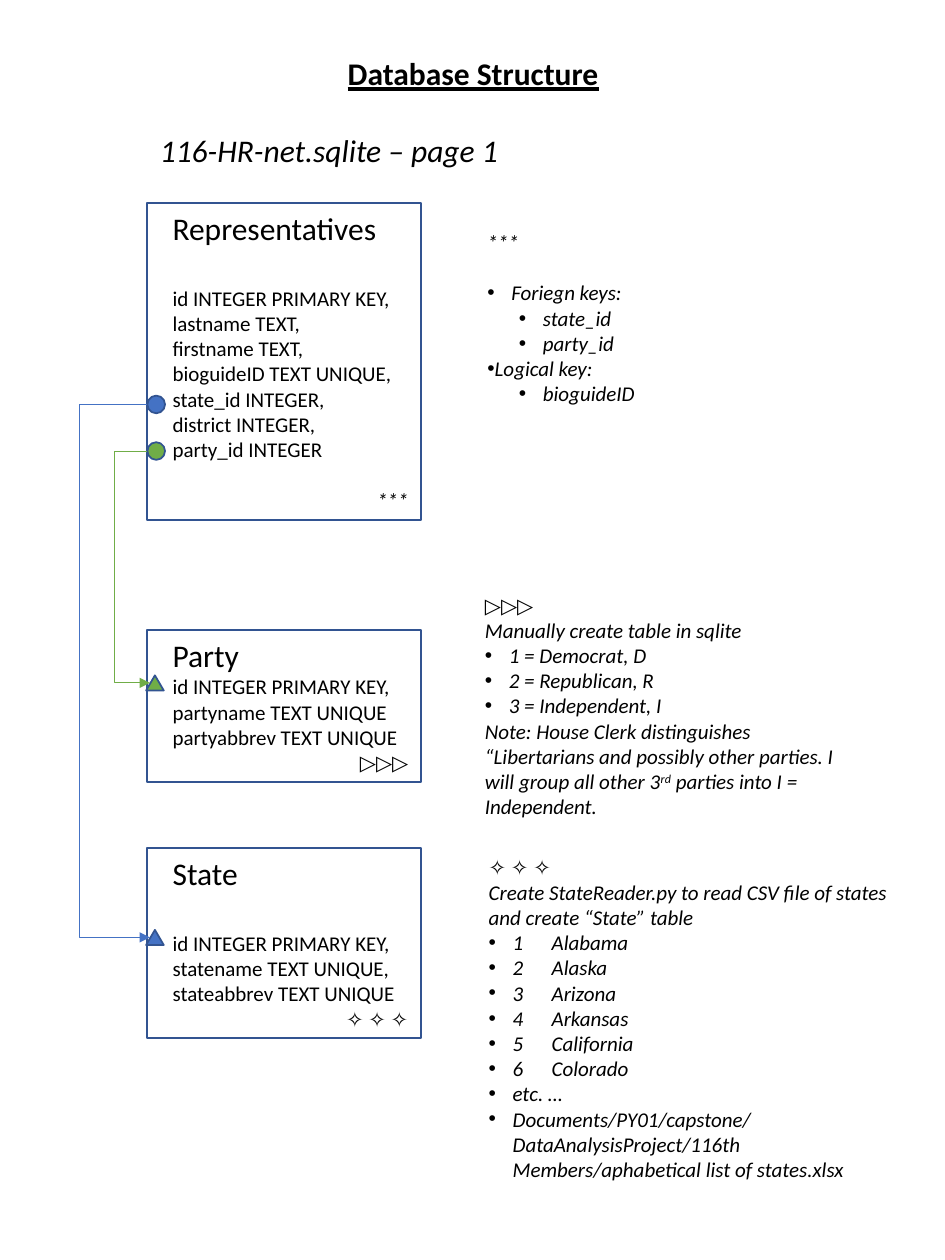
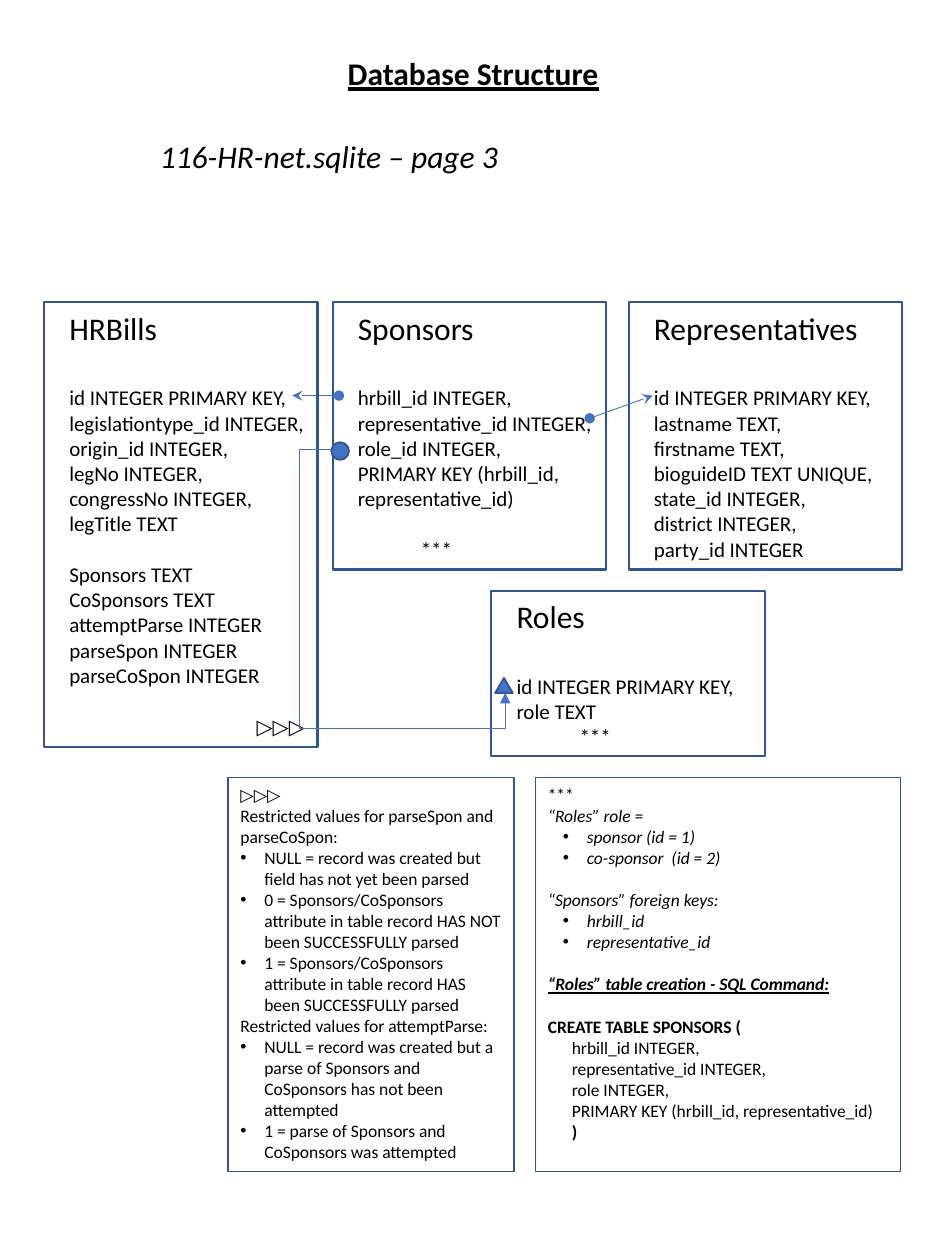
from dataclasses import dataclass, replace

from lxml import etree
from pptx import Presentation
from pptx import util as u
from pptx.dml.color import RGBColor
from pptx.enum import shapes, text
from pptx.oxml import ns

BLACK = RGBColor(0x00, 0x00, 0x00)
NAVY = RGBColor(0x32, 0x54, 0x91)
BLUE = RGBColor(0x44, 0x72, 0xC4)
GREEN = RGBColor(0x70, 0xAD, 0x47)

FONT = "Calibri"
WIDTH, HEIGHT = u.Inches(7.5), u.Inches(10)
COLUMNS, ROWS = 75, 100
LINE_HEIGHT = 1.22
HEADING_SIZE, FIELD_SIZE, DETAIL_SIZE = 18, 12, 10
TABLE_WIDTH = 21.7
TABLE_INSET = 2
HANG = 1.9
TRIANGLES = "▷▷▷"
STARS = "✧ ✧ ✧"
ASTERISKS = "***"
REPRESENTATIVE_FIELDS = [
    "id INTEGER PRIMARY KEY,", "lastname TEXT,", "firstname TEXT,",
    "bioguideID TEXT UNIQUE,", "state_id INTEGER,", "district INTEGER,",
    "party_id INTEGER",
]


@dataclass
class Line:
    text: str
    size: int = FIELD_SIZE
    gap: int = 0
    left: float = 0
    hang: float = 0
    bulleted: bool = False
    right: bool = False
    italic: bool = False
    bold: bool = False
    underline: bool = False


def column(count):
    return round(WIDTH * count / COLUMNS)


def row(count):
    return round(HEIGHT * count / ROWS)


def area(left, top, width, height):
    return column(left), row(top), column(width), row(height)


def bullet(words, left=HANG, hang=HANG):
    return Line(words, left=left, hang=hang, bulleted=True)


def as_lines(items, **changes):
    lines = [item if isinstance(item, Line) else Line(item) for item in items]
    return [replace(line, **changes) for line in lines]


def add_child(parent, tag, **attributes):
    return etree.SubElement(parent, ns.qn(tag), attributes)


def write_line(paragraph, line):
    for index, part in enumerate(line.text.split("^")):
        run = paragraph.add_run()
        run.text = part
        font = run.font
        font.name, font.size = FONT, u.Pt(line.size)
        font.color.rgb = BLACK
        font.italic, font.bold = line.italic, line.bold
        font.underline = line.underline
        if index % 2:
            run._r.get_or_add_rPr().set("baseline", "30000")
    paragraph.alignment = text.PP_ALIGN.RIGHT if line.right else text.PP_ALIGN.LEFT
    paragraph.space_before = u.Pt(round(line.gap * LINE_HEIGHT, 1))
    properties = paragraph._p.get_or_add_pPr()
    properties.set("marL", str(column(line.left)))
    properties.set("indent", str(-column(line.hang)))
    if line.bulleted:
        add_child(properties, "a:buFont", typeface="Arial")
        add_child(properties, "a:buChar", char="•")


def write_lines(shape, lines, wrap=True):
    frame = shape.text_frame
    frame.word_wrap = wrap
    frame.auto_size = text.MSO_AUTO_SIZE.NONE
    frame.vertical_anchor = text.MSO_ANCHOR.TOP
    frame.margin_left = frame.margin_right = u.Inches(0.1)
    frame.margin_top = frame.margin_bottom = u.Inches(0.05)
    for index, line in enumerate(lines):
        paragraph = frame.add_paragraph() if index else frame.paragraphs[0]
        write_line(paragraph, line)


def add_note(slide, place, items, wrap=True):
    note = slide.shapes.add_textbox(*area(*place))
    write_lines(note, as_lines(items, italic=True), wrap)


def add_outlined(slide, kind, place, weight, fill=None):
    shape = slide.shapes.add_shape(kind, *area(*place))
    shape.shadow.inherit = False
    shape.line.color.rgb = NAVY
    shape.line.width = u.Pt(weight)
    if fill is None:
        shape.fill.background()
    else:
        shape.fill.solid()
        shape.fill.fore_color.rgb = fill
    return shape


def add_table_box(slide, name, left, top, height, fields, gap=HEADING_SIZE):
    place = (left, top, TABLE_WIDTH, height)
    box = add_outlined(slide, shapes.MSO_SHAPE.RECTANGLE, place, 1.25)
    lines = as_lines(fields)
    lines[0].gap = gap
    write_lines(box, [Line(name, HEADING_SIZE)] + lines)
    box.text_frame.margin_left = column(TABLE_INSET)


def add_detail_box(slide, left, width, items):
    place = (left, 61.7, width, 31.3)
    box = add_outlined(slide, shapes.MSO_SHAPE.RECTANGLE, place, 0.75)
    write_lines(box, as_lines(items, size=DETAIL_SIZE))


def add_source_dot(slide, left, top, color):
    add_outlined(slide, shapes.MSO_SHAPE.OVAL, (left, top, 1.4, 1.4), 1, color)


def add_target_triangle(slide, left, top, color):
    place = (left, top, 1.4, 1.2)
    add_outlined(slide, shapes.MSO_SHAPE.ISOSCELES_TRIANGLE, place, 1, color)


def add_link(slide, kind, start, end, color, tail, head=None):
    link = slide.shapes.add_connector(
        kind, column(start[0]), row(start[1]), column(end[0]), row(end[1]))
    link.line.color.rgb = color
    link.line.width = u.Pt(0.5)
    outline = link.line._get_or_add_ln()
    if head:
        add_child(outline, "a:headEnd", type=head)
    add_child(outline, "a:tailEnd", type=tail)
    add_child(link._element.spPr, "a:effectLst")
    return link


def add_straight_link(slide, start, end):
    add_link(slide, shapes.MSO_CONNECTOR.STRAIGHT, start, end, BLUE, "oval", "stealth")


def add_bent_link(slide, start, end, color, lane, floor=None):
    link = add_link(slide, shapes.MSO_CONNECTOR.ELBOW, start, end, color, "triangle")
    bends = [(lane - start[0]) / (end[0] - start[0])]
    if floor is not None:
        bends.append((floor - start[1]) / (end[1] - start[1]))
    geometry = link._element.spPr.find(ns.qn("a:prstGeom"))
    geometry.set("prst", f"bentConnector{len(bends) + 2}")
    guides = geometry.find(ns.qn("a:avLst"))
    if guides is None:
        guides = add_child(geometry, "a:avLst")
    for number, bend in enumerate(bends, 1):
        add_child(guides, "a:gd", name=f"adj{number}", fmla=f"val {round(bend * 100000)}")


def add_page(presentation, subtitle, subtitle_top):
    slide = presentation.slides.add_slide(presentation.slide_layouts[5])
    title = slide.shapes.title
    title.left, title.top, title.width, title.height = area(26.6, 3.8, 22.1, 4)
    heading = Line("Database Structure", HEADING_SIZE, bold=True, underline=True)
    write_lines(title, [heading], wrap=False)
    place = (11.7, subtitle_top, 29.2, 4)
    add_note(slide, place, [Line(subtitle, HEADING_SIZE)], wrap=False)
    return slide


def build_lookup_page(presentation):
    slide = add_page(presentation, "116-HR-net.sqlite – page 1", 9.9)
    left = 11.7
    add_table_box(slide, "Representatives", left, 16.1, 25.2, REPRESENTATIVE_FIELDS + [
        Line(ASTERISKS, gap=FIELD_SIZE, right=True, italic=True)])
    add_table_box(slide, "Party", left, 50, 12.1, [
        "id INTEGER PRIMARY KEY,", "partyname TEXT UNIQUE", "partyabbrev TEXT UNIQUE",
        Line(TRIANGLES, right=True, italic=True)], gap=0)
    add_table_box(slide, "State", left, 67.3, 15.1, [
        "id INTEGER PRIMARY KEY,", "statename TEXT UNIQUE,", "stateabbrev TEXT UNIQUE",
        Line(STARS, right=True, italic=True)])

    foreign = bullet("Foriegn keys:")
    foreign.gap = FIELD_SIZE
    add_note(slide, (37.7, 17.7, 22.1, 15.1), [
        ASTERISKS, foreign, bullet("state_id", 4.4), bullet("party_id", 4.4),
        bullet("Logical key:", 0, 2.5), bullet("bioguideID", 4.4)])
    states = ["Alabama", "Alaska", "Arizona", "Arkansas", "California", "Colorado"]
    add_note(slide, (37.8, 67.3, 33.9, 30.3), [
        STARS,
        "Create StateReader.py to read CSV file of states and create “State” table",
        *[bullet(f"{number}\t{state}") for number, state in enumerate(states, 1)],
        bullet("etc. …"),
        bullet("Documents/PY01/capstone/DataAnalysisProject/116th "
               "Members/aphabetical list of states.xlsx")])
    add_note(slide, (37.5, 46.5, 31.2, 19.2), [
        TRIANGLES, "Manually create table in sqlite", bullet("1 = Democrat, D"),
        bullet("2 = Republican, R"), bullet("3 = Independent, I"),
        "Note: House Clerk distinguishes “Libertarians and possibly other parties. "
        "I will group all other 3^rd^ parties into I = Independent."])

    for color, source, target, lane in [(BLUE, 32.1, 74.4, 6.3), (GREEN, 35.8, 54.2, 9.1)]:
        add_target_triangle(slide, left - 0.1, target - 0.6, color)
        add_source_dot(slide, left, source - 0.7, color)
        add_bent_link(slide, (left, source), (left + 0.2, target), color, lane)


def build_bills_page(presentation):
    slide = add_page(presentation, "116-HR-net.sqlite – page 3", 10.4)
    top = 24
    add_table_box(slide, "Sponsors", 26.4, top, 21.2, [
        "hrbill_id INTEGER,", "representative_id INTEGER,", "role_id INTEGER,",
        "PRIMARY KEY (hrbill_id, representative_id)",
        Line("\t" + ASTERISKS, gap=FIELD_SIZE)])
    add_table_box(slide, "Representatives", 49.9, top, 21.2, REPRESENTATIVE_FIELDS)
    add_straight_link(slide, (51.8, 31.4), (46.8, 33.2))
    add_straight_link(slide, (23.2, 31.4), (26.9, 31.4))
    add_detail_box(slide, 42.5, 29, [
        ASTERISKS, Line("“Roles” role =", italic=True),
        *as_lines([bullet("sponsor (id = 1)", 3.1), bullet("co-sponsor  (id = 2)", 3.1)],
                  italic=True),
        Line("“Sponsors” foreign keys:", gap=DETAIL_SIZE, italic=True),
        *as_lines([bullet("hrbill_id", 3.1), bullet("representative_id", 3.1)],
                  italic=True),
        Line("“Roles” table creation - SQL Command:", gap=DETAIL_SIZE,
             italic=True, bold=True, underline=True),
        Line("CREATE TABLE SPONSORS (", gap=DETAIL_SIZE, bold=True),
        *as_lines(["hrbill_id INTEGER,", "representative_id INTEGER,", "role INTEGER,",
                   "PRIMARY KEY (hrbill_id, representative_id)",
                   Line(")", bold=True)], left=HANG)])
    add_table_box(slide, "HRBills", 3.5, top, 35.3, [
        "id INTEGER PRIMARY KEY,", "legislationtype_id INTEGER,", "origin_id INTEGER,",
        "legNo INTEGER,", "congressNo INTEGER,", "legTitle TEXT",
        Line("Sponsors TEXT", gap=FIELD_SIZE), "CoSponsors TEXT",
        "attemptParse INTEGER", "parseSpon INTEGER", "parseCoSpon INTEGER",
        Line(TRIANGLES, gap=FIELD_SIZE, right=True, italic=True)])
    add_table_box(slide, "Roles", 39, 46.9, 13.1, [
        "id INTEGER PRIMARY KEY,", "role TEXT", "\t" + ASTERISKS])
    add_target_triangle(slide, 39.3, 53.8, BLUE)
    add_source_dot(slide, 26.3, 35.1, BLUE)
    add_bent_link(slide, (26.3, 35.7), (40.1, 55), BLUE, 23.8, 57.8)
    add_detail_box(slide, 18.1, 22.7, [
        TRIANGLES, "Restricted values for parseSpon and parseCoSpon:",
        bullet("NULL = record was created but field has not yet been parsed"),
        bullet("0 = Sponsors/CoSponsors attribute in table record HAS NOT "
               "been SUCCESSFULLY parsed"),
        bullet("1 = Sponsors/CoSponsors attribute in table record HAS "
               "been SUCCESSFULLY parsed"),
        "Restricted values for attemptParse:",
        bullet("NULL = record was created but a parse of Sponsors and CoSponsors "
               "has not been attempted"),
        bullet("1 = parse of Sponsors and CoSponsors was attempted")])


def main():
    presentation = Presentation()
    presentation.slide_width, presentation.slide_height = WIDTH, HEIGHT
    build_lookup_page(presentation)
    build_bills_page(presentation)
    presentation.save("out.pptx")


main()
